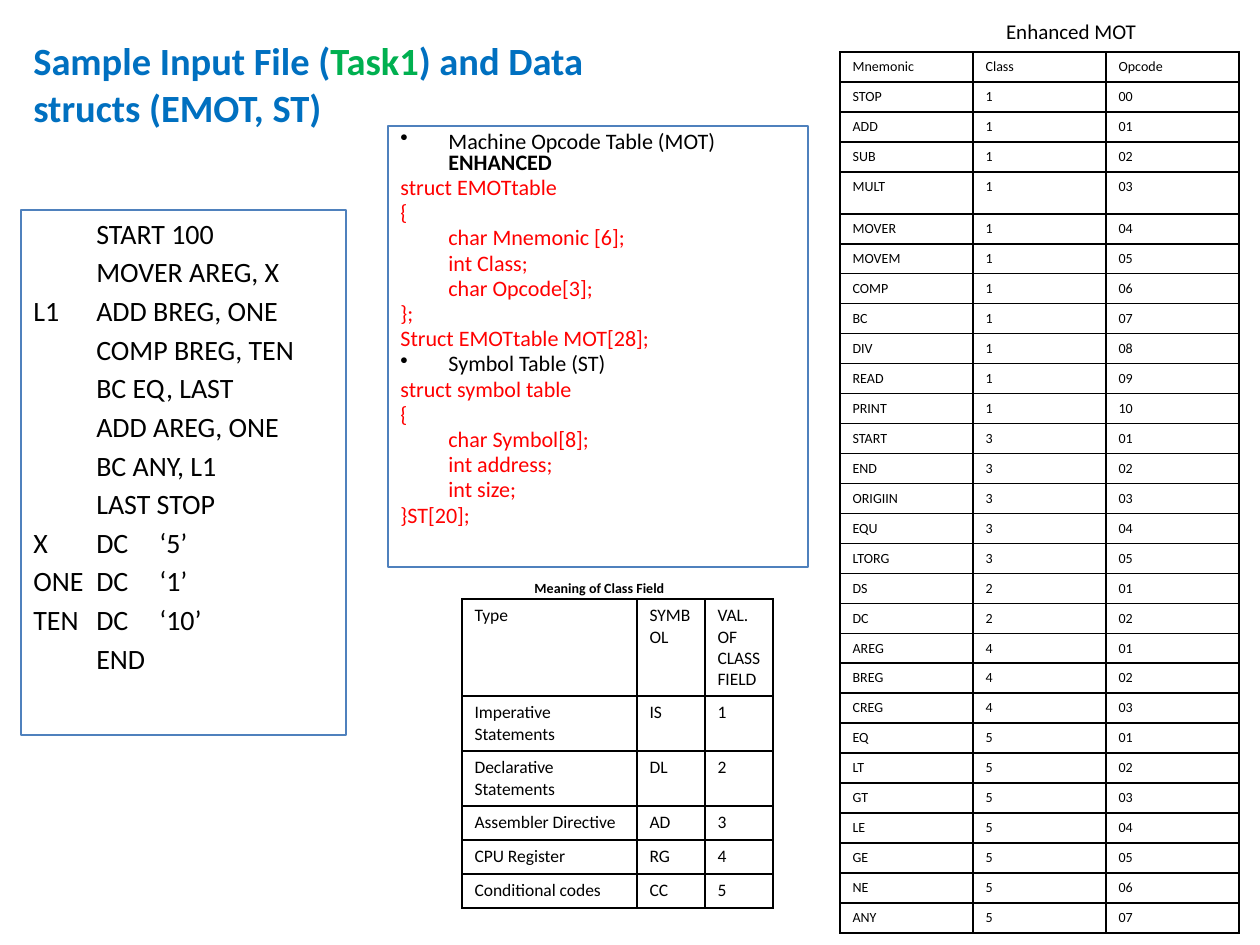
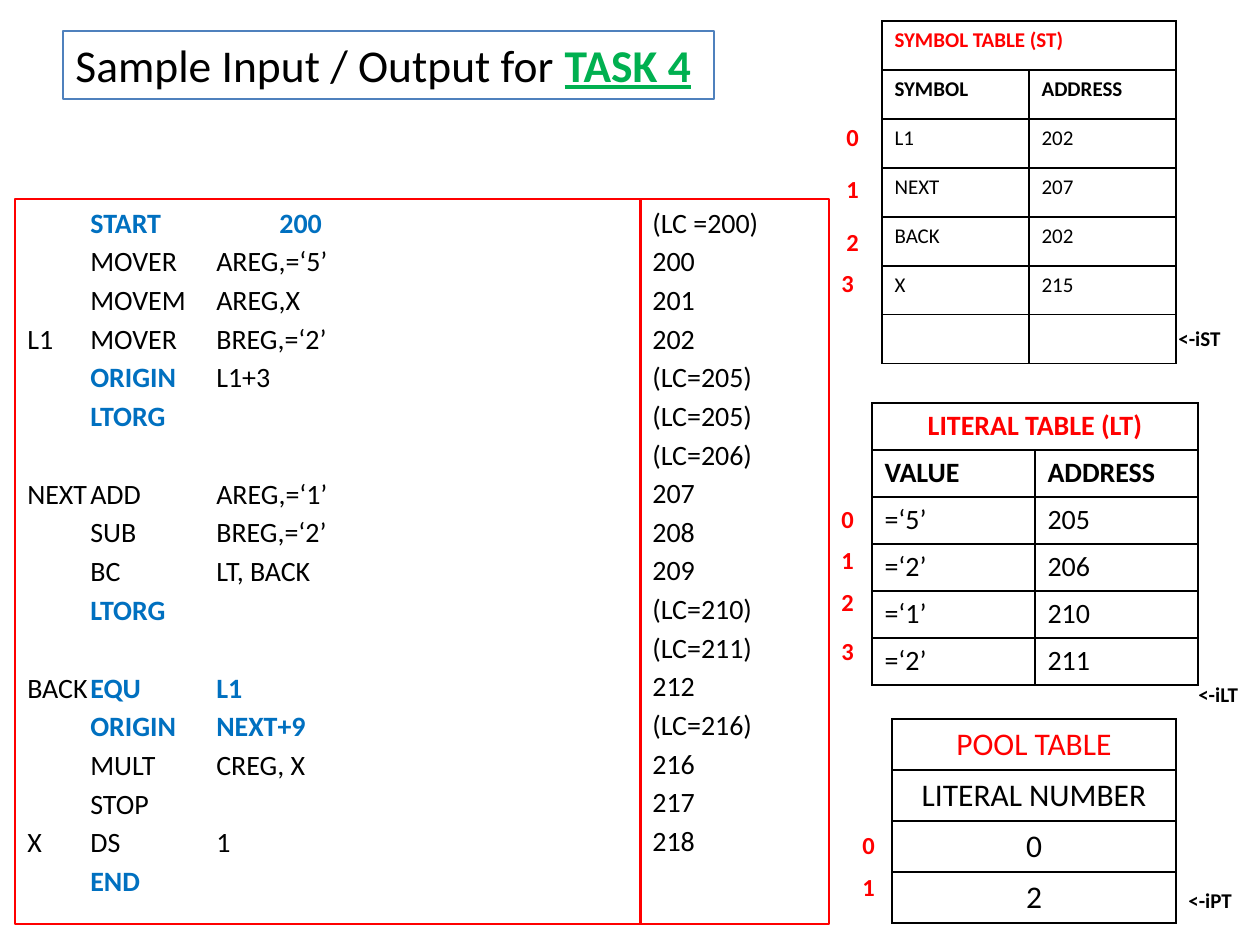
from pptx import Presentation
from pptx.util import Emu, Pt
from pptx.dml.color import RGBColor
from pptx.enum.shapes import MSO_SHAPE as Form
from pptx.enum.text import MSO_ANCHOR as Anchor, MSO_AUTO_SIZE as Auto, PP_ALIGN as Align
from pptx.oxml import parse_xml
from pptx.oxml.ns import nsdecls
from lxml.etree import SubElement

HUES = {"black": "000000", "red": "FF0000", "blue": "0070C0",
        "green": "00B050", "steel": "4F81BD"}
FONT = {"name": "Calibri", "size": 16, "bold": False, "tone": "black"}
NS = "{http://schemas.openxmlformats.org/drawingml/2006/main}"


def px(n):
    return Emu(round(n * 914400 / 126))


def write(frame, rows, base, mark={}, align=Align.LEFT, gap=0, line=None,
          left=0, stops=(), odd={}, skip=None):
    for i, row in enumerate(rows):
        para = frame.paragraphs[0] if i == 0 else frame.add_paragraph()
        para.alignment = align
        wide = skip and i and skip in rows[i - 1]
        para.space_before = Pt(2 * gap + 19.5 if wide else gap)
        if line:
            para.line_spacing = line
        prop = para._p.get_or_add_pPr()
        prop.set("marL", str(px(left)))
        prop.set("indent", str(-px(left)))
        look = {**FONT, **base}
        if row.startswith("•"):
            SubElement(prop, NS + "buChar", char="•")
            row = row[1:]
            look["tone"] = "black"
        else:
            SubElement(prop, NS + "buNone")
        marks = odd.get(i, stops)
        if marks:
            tabs = SubElement(prop, NS + "tabLst")
            for stop in marks:
                SubElement(tabs, NS + "tab", pos=str(px(stop)), algn="l")
        if not row:
            para._p.get_or_add_endParaRPr().set("sz", str(look["size"] * 100))
        for n, part in enumerate(row.split("|")):
            if not part:
                continue
            run = para.add_run()
            run.text = part
            for key, val in {**look, **(mark if n % 2 else {})}.items():
                if key == "tone":
                    run.font.color.rgb = RGBColor.from_string(HUES[val])
                else:
                    setattr(run.font, key, Pt(val) if key == "size" else val)


deck = Presentation()
deck.slide_width, deck.slide_height = px(1260), px(945)
one, two = [deck.slides.add_slide(deck.slide_layouts[6]) for _ in range(2)]

code = ["\tSTART 100", "\tMOVER AREG, X", "L1\tADD BREG, ONE",
        "\tCOMP BREG, TEN", "\tBC EQ, LAST", "\tADD AREG, ONE",
        "\tBC ANY, L1", "\tLAST STOP", "X\tDC\t‘5’", "ONE\tDC\t‘1’",
        "TEN\tDC\t‘10’", "\tEND"]
structs = ["•Machine Opcode Table (MOT) |ENHANCED", "struct EMOTtable", "{",
           "\tchar Mnemonic [6];", "\tint Class;", "\tchar Opcode[3];", "};",
           "Struct EMOTtable MOT[28];", "•Symbol Table (ST)",
           "struct symbol table", "{", "\tchar Symbol[8];", "\tint address;",
           "\tint size;", "}ST[20];"]
task = ["\t|START\t\t200", "\tMOVER\tAREG,=‘5’", "\tMOVEM\tAREG,X",
        "L1\tMOVER\tBREG,=‘2’", "\t|ORIGIN|\tL1+3", "\t|LTORG",
        "NEXT\tADD\t\tAREG,=‘1’", "\tSUB\t\tBREG,=‘2’", "\tBC\t\tLT, BACK",
        "\t|LTORG", "BACK\t|EQU\t\tL1", "\t|ORIGIN\tNEXT+9",
        "\tMULT\tCREG, X", "\tSTOP", "X\tDS\t\t1", "\t|END"]
count = ["(LC =200)", "200", "201", "202", "(LC=205)", "(LC=205)", "(LC=206)",
         "207", "208", "209", "(LC=210)", "(LC=211)", "212", "(LC=216)",
         "216", "217", "218"]

mid = {"align": Align.CENTER}
boxes = [
    (one, (21, 10, 630, 147), None, Anchor.MIDDLE,
     ["Sample Input File (|Task1|) and Data structs (EMOT, ST)"],
     {"size": 22, "bold": True, "tone": "blue"}, {"mark": {"tone": "green"}}),
    (one, (388, 126, 420, 441), "steel", Anchor.TOP, structs,
     {"size": 12.6, "tone": "red"},
     {"mark": {"bold": True}, "gap": 2.3, "line": 0.8, "left": 48}),
    (one, (489, 577, 221, 21), None, Anchor.MIDDLE,
     ["Meaning of Class Field"], {"size": 8, "bold": True}, mid),
    (one, (924, 10, 294, 42), None, Anchor.MIDDLE,
     ["Enhanced MOT"], {"size": 12}, mid),
    (one, (21, 210, 325, 525), "steel", Anchor.TOP, code, {},
     {"gap": 2.9, "stops": (79, 199),
      "odd": {2: (71,), 3: (73,), 9: (76, 133), 10: (77, 141)}}),
    (two, (15, 199, 626, 725), "red", Anchor.TOP, task, {},
     {"mark": {"bold": True, "tone": "blue"}, "gap": 2.9,
      "stops": (193, 300, 426), "skip": "LTORG"}),
    (two, (640, 199, 189, 725), "red", Anchor.TOP, count, {}, {"gap": 2.9}),
    (two, (63, 31, 651, 68), "steel", Anchor.TOP,
     ["Sample Input / Output for |TASK 4"], {"size": 26},
     {"mark": {"bold": True, "underline": True, "tone": "green"}}),
]
for slide, at, edge, anchor, rows, base, opts in boxes:
    spot = [px(n) for n in at]
    if edge:
        box = slide.shapes.add_shape(Form.RECTANGLE, *spot)
        box.shadow.inherit = False
        box.fill.background()
        box.line.color.rgb = RGBColor.from_string(HUES[edge])
        box.line.width = Pt(0.75)
    else:
        box = slide.shapes.add_textbox(*spot)
    frame = box.text_frame
    frame.word_wrap = True
    frame.vertical_anchor = anchor
    write(frame, rows, base, **opts)

index = {"size": 14, "bold": True, "tone": "red"}
note = {"size": 12, "bold": True}
tags = [(x, y, 38, 43, str(n), index) for x, n, y in
        [(834, 0, 116), (834, 1, 168), (834, 2, 221), (829, 3, 262),
         (829, 0, 498), (829, 1, 539), (829, 2, 581), (829, 3, 630),
         (850, 0, 824), (850, 1, 866)]]
tags += [(1166, 319, 68, 38, "<-iST", note),
         (1186, 675, 66, 38, "<-iLT", note),
         (1176, 881, 69, 38, "<-iPT", note)]
for x, y, w, h, word, base in tags:
    frame = two.shapes.add_textbox(px(x), px(y), px(w), px(h)).text_frame
    frame.word_wrap = False
    frame.auto_size = Auto.SHAPE_TO_FIT_TEXT
    write(frame, [word], base)

kinds = [["Type", "SYMBOL", "VAL. OF CLASS FIELD"],
         ["Imperative Statements", "IS", "1"],
         ["Declarative Statements", "DL", "2"],
         ["Assembler Directive", "AD", "3"],
         ["CPU Register", "RG", "4"], ["Conditional codes", "CC", "5"]]
ops = [["Mnemonic", "Class", "Opcode"]]
for kind, first, names in [
        (1, 0, "STOP ADD SUB MULT MOVER MOVEM COMP BC DIV READ PRINT"),
        (3, 1, "START END ORIGIIN EQU LTORG"), (2, 1, "DS DC"),
        (4, 1, "AREG BREG CREG"), (5, 1, "EQ LT GT LE GE NE ANY")]:
    ops += [[name, str(kind), f"{n:02}"]
            for n, name in enumerate(names.split(), first)]
syms = [["SYMBOL TABLE (ST)", ""], ["SYMBOL", "ADDRESS"], ["L1", "202"],
        ["NEXT", "207"], ["BACK", "202"], ["X", "215"], ["", ""]]
lits = [["LITERAL TABLE (LT)", ""], ["VALUE", "ADDRESS"], ["=‘5’", "205"],
        ["=‘2’", "206"], ["=‘1’", "210"], ["=‘2’", "211"]]
pool = [["POOL TABLE"], ["LITERAL NUMBER"], ["0"], ["2"]]

heads = [{"tone": "red", "bold": True}, {"bold": True}]
grids = [
    (one, 462, 599, [175, 68, 68], [97, 55, 55, 34, 34, 34], 10, kinds, [], 0),
    (one, 840, 52, [133] * 3, [30] * 4 + [42] + [30] * 24, 8, ops, [], 0),
    (two, 882, 21, [147] * 2, [49] * 7, 12, syms, heads, 0),
    (two, 872, 403, [163] * 2, [47] * 6, 16, lits, heads, 1),
    (two, 892, 719, [284], [51] * 4, 18, pool, [{"tone": "red"}], 4),
]
for slide, x, y, cols, highs, size, rows, tops, mids in grids:
    grid = slide.shapes.add_table(len(rows), len(cols), px(x), px(y),
                                  px(sum(cols)), px(sum(highs))).table
    grid.first_row = grid.horz_banding = False
    for col, w in zip(grid.columns, cols):
        col.width = px(w)
    for r, row in enumerate(rows):
        grid.rows[r].height = px(highs[r])
        for c, word in enumerate(row):
            cell = grid.cell(r, c)
            cell.fill.background()
            prop = cell._tc.get_or_add_tcPr()
            for n, side in enumerate("LRTB"):
                prop.insert(n, parse_xml(
                    f'<a:ln{side} {nsdecls("a")} w="12700"><a:solidFill>'
                    f'<a:srgbClr val="{HUES["black"]}"/></a:solidFill></a:ln{side}>'))
            look = tops[r] if r < len(tops) else {}
            write(cell.text_frame, [word], {"size": size, **look},
                  align=Align.CENTER if r < mids else Align.LEFT)
    if len(cols) == 2:
        grid.cell(0, 0).merge(grid.cell(0, 1))

deck.save("out.pptx")
